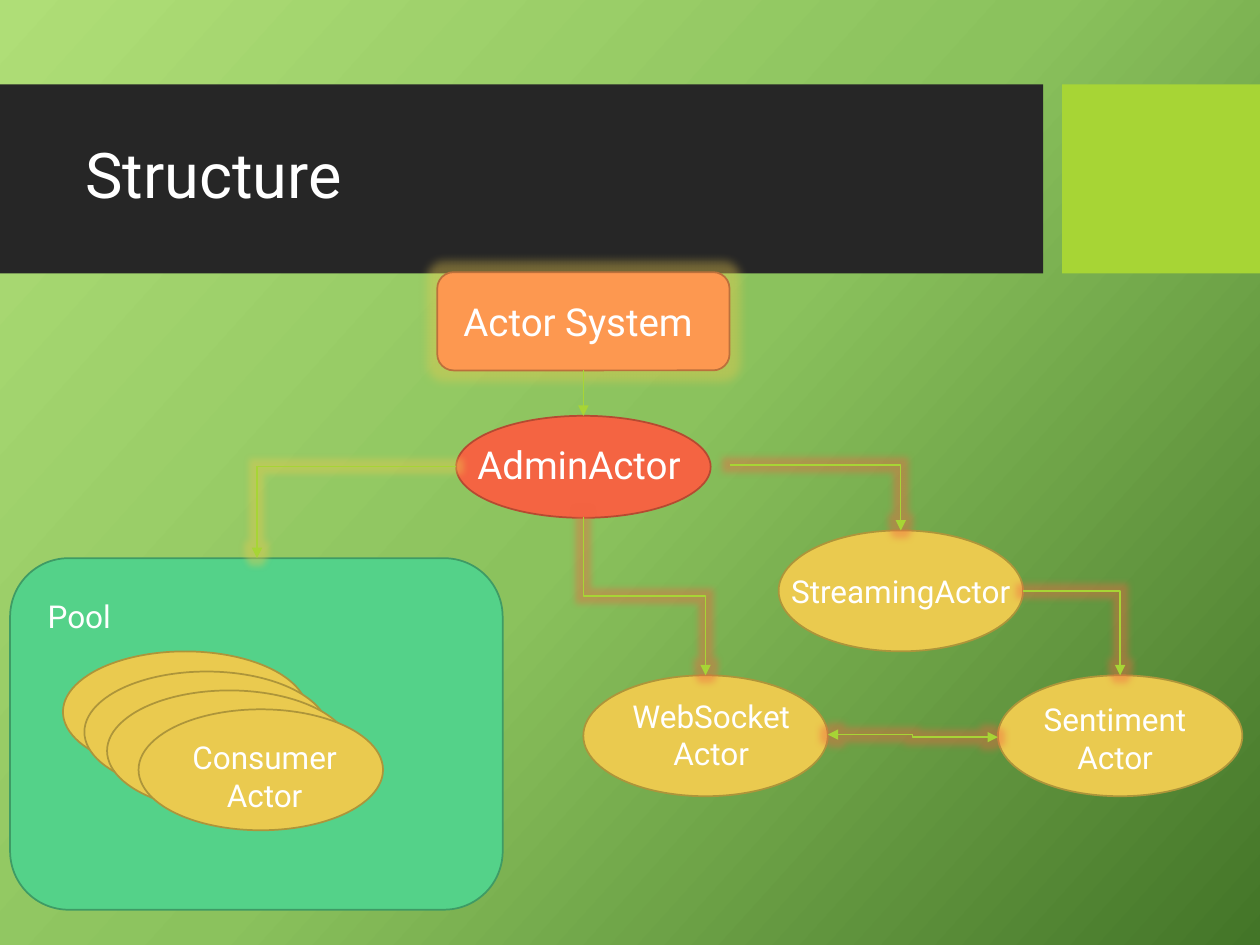
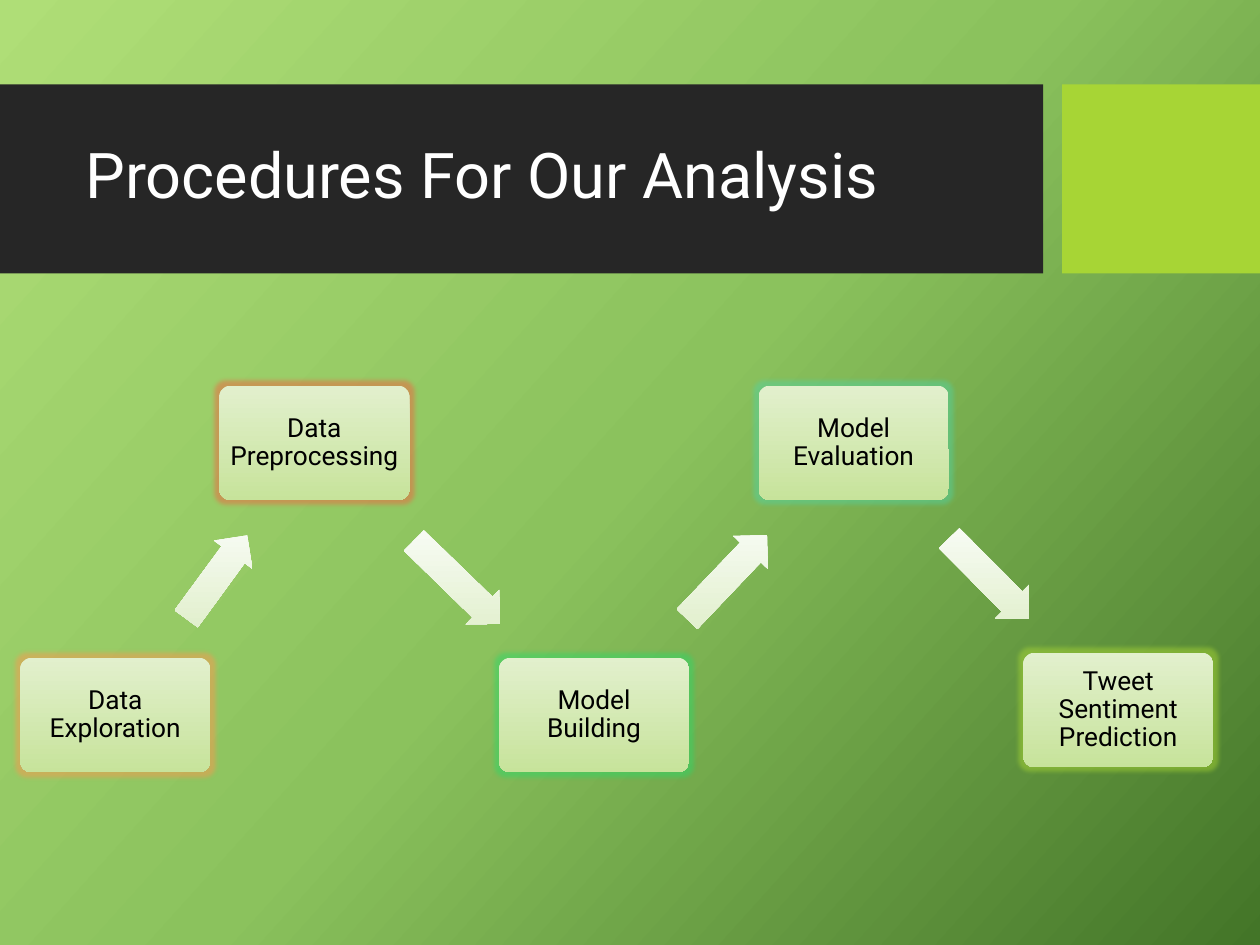
"""Builds two slides: the actor structure and the analysis procedure."""
from pptx import Presentation
from pptx.dml.color import RGBColor
from pptx.enum.shapes import MSO_CONNECTOR, MSO_SHAPE
from pptx.enum.text import MSO_ANCHOR, PP_ALIGN
from pptx.oxml import parse_xml
from pptx.oxml.ns import nsdecls, qn
from pptx.util import Inches, Pt

RECT, ROUND = MSO_SHAPE.RECTANGLE, MSO_SHAPE.ROUNDED_RECTANGLE
OVAL, ARROW = MSO_SHAPE.OVAL, MSO_SHAPE.RIGHT_ARROW
STRAIGHT, ELBOW = MSO_CONNECTOR.STRAIGHT, MSO_CONNECTOR.ELBOW
LEFT, CENTER = PP_ALIGN.LEFT, PP_ALIGN.CENTER
TOP, MIDDLE = MSO_ANCHOR.TOP, MSO_ANCHOR.MIDDLE

FONT = "Roboto"
WHITE, BLACK, DARK, LIME = "FFFFFF", "000000", "262626", "A7D535"
YELLOW, ORANGE, RED, GREEN = "EACA4F", "FD9850", "F46442", "54D289"
OUTLINES = {YELLOW: "AD953A", ORANGE: "BB703B", RED: "B54A31", GREEN: "3E9B65"}
BACKDROP = [(0, "AFDE77"), (50, "8BC25D"), (100, "437528")]
STEP_FILL = [(0, "E2F0CD"), (100, "C7E39B")]
ARROW_FILL = [(0, "F9FCF6"), (100, "E0EFCB")]
BANDS = [((0, 0.67, 8.28, 1.5), DARK), ((8.43, 0.67, 1.57, 1.5), LIME)]

ADMIN = (3.62, 3.3, 2.02, 0.81)
POOL = (0.08, 4.43, 3.91, 2.79)
SYSTEM = (3.47, 2.16, 2.32, 0.78)
ACTOR_SIZE = (1.94, 0.96)
ACTORS = [(6.18, 4.21), (7.92, 5.36), (4.63, 5.36),
          (0.5, 5.17), (0.67, 5.33), (0.85, 5.48), (1.1, 5.63)]
LABELS = [
    ("Actor System", (3.58, 2.32, 2.1, 0.47), 22, LEFT),
    ("AdminActor", (3.69, 3.45, 2.1, 0.47), 22, LEFT),
    ("StreamingActor", (6.18, 4.49, 2.01, 0.4), 18, LEFT),
    ("WebSocket\nActor", (4.82, 5.48, 1.65, 0.71), 18, CENTER),
    ("Sentiment\nActor", (8.05, 5.51, 1.6, 0.71), 18, CENTER),
    ("Pool", (0.28, 4.69, 1.03, 0.4), 18, LEFT),
    ("Consumer\nActor", (1.28, 5.81, 1.64, 0.71), 18, CENTER),
]
CORNER_LINKS = [
    ((5.79, 3.69), (7.15, 4.21), RED),
    ((8.12, 4.69), (8.89, 5.36), RED),
    ((3.62, 3.7), (2.04, 4.43), YELLOW),
]
ADMIN_TO_SOCKET = ((4.63, 4.1), (5.6, 5.36))
SOCKET_TO_SENTIMENT = ((6.57, 5.83), (7.92, 5.85))

STEP_SIZE = (1.51, 0.91)
STEPS = [
    ("Data Exploration", (0.16, 5.22), ORANGE),
    ("Data Preprocessing", (1.74, 3.06), RED),
    ("Model Building", (3.96, 5.22), "30D868"),
    ("Model Evaluation", (6.02, 3.06), "54D2A0"),
    ("Tweet Sentiment Prediction", (8.12, 5.18), LIME),
]
STEP_ARROWS = [(1.31, 4.39, 0.82, 306.2), (3.15, 4.43, 0.95, 44.2),
               (5.31, 4.39, 0.92, 313.6), (7.4, 4.4, 0.9, 45.2)]


def rgb(color):
    return RGBColor.from_string(color)


def inches(values):
    return [Inches(value) for value in values]


def set_gradient(fill, owner, stops, angle):
    fill.gradient()
    gradient = next(owner.iter(qn("a:gradFill")))
    gradient.clear()
    gradient.set("rotWithShape", "0")
    marks = "".join(f'<a:gs pos="{pos * 1000}"><a:srgbClr val="{color}"/></a:gs>'
                    for pos, color in stops)
    gradient.append(parse_xml(f'<a:gsLst {nsdecls("a")}>{marks}</a:gsLst>'))
    gradient.append(parse_xml(f'<a:lin {nsdecls("a")} ang="{angle * 60000}" scaled="0"/>'))


def add_glow(effects, color, points, alpha=40):
    effects.append(parse_xml(
        f'<a:glow {nsdecls("a")} rad="{Pt(points)}"><a:srgbClr val="{color}">'
        f'<a:alpha val="{alpha * 1000}"/></a:srgbClr></a:glow>'))


def add_shape(slide, kind, box, fill, glow=None):
    shape = slide.shapes.add_shape(kind, *inches(box))
    shape.shadow.inherit = False
    if isinstance(fill, str):
        shape.fill.solid()
        shape.fill.fore_color.rgb = rgb(fill)
    else:
        set_gradient(shape.fill, shape._element, fill, 90)
    if not isinstance(fill, str) or fill not in OUTLINES:
        shape.line.fill.background()
    else:
        shape.line.color.rgb = rgb(OUTLINES[fill])
        shape.line.width = Pt(1)
    if glow:
        add_glow(shape._element.spPr.find(qn("a:effectLst")), *glow)
    return shape


def write(frame, text, size, color, align=LEFT, anchor=TOP, spacing=None):
    frame.word_wrap = True
    frame.vertical_anchor = anchor
    frame.text = text
    for paragraph in frame.paragraphs:
        paragraph.alignment = align
        paragraph.line_spacing = spacing
        for run in paragraph.runs:
            run.font.size = Pt(size)
            run.font.name = FONT
            run.font.color.rgb = rgb(color)


def add_link(slide, kind, start, end, glow=None, both_ends=False):
    link = slide.shapes.add_connector(kind, *inches(start + end))
    link.line.color.rgb = rgb(LIME)
    link.line.width = Pt(0.75)
    line = link._element.spPr.find(qn("a:ln"))
    for tag in ["headEnd", "tailEnd"] if both_ends else ["tailEnd"]:
        line.append(parse_xml(f'<a:{tag} {nsdecls("a")} type="triangle"/>'))
    effects = parse_xml(f'<a:effectLst {nsdecls("a")}/>')
    link._element.spPr.append(effects)
    if glow:
        add_glow(effects, glow, 8)
    return link


def add_corner_link(slide, start, end, glow):
    link = add_link(slide, ELBOW, start, end, glow)
    link._element.spPr.find(qn("a:prstGeom")).set("prst", "bentConnector2")


def add_drop_link(slide, start, end, glow):
    (x1, y1), (x2, y2) = start, end
    mid_x, mid_y = (x1 + x2) / 2, (y1 + y2) / 2
    half_run, half_drop = (x2 - x1) / 2, (y2 - y1) / 2
    link = add_link(slide, ELBOW, (mid_x + half_drop, mid_y - half_run),
                    (mid_x - half_drop, mid_y + half_run), glow)
    link._element.spPr.find(qn("a:xfrm")).set("rot", str(270 * 60000))


def add_slide(deck, title):
    slide = deck.slides.add_slide(deck.slide_layouts[6])
    set_gradient(slide.background.fill, slide._element, BACKDROP, 42)
    for box, color in BANDS:
        add_shape(slide, RECT, box, color)
    heading = slide.shapes.add_textbox(*inches((0.58, 0.82, 7.54, 1.18)))
    write(heading.text_frame, title, 36, WHITE, anchor=MIDDLE, spacing=0.9)
    return slide


def build_structure(deck):
    slide = add_slide(deck, "Structure")
    admin = add_shape(slide, OVAL, ADMIN, RED)
    add_shape(slide, ROUND, POOL, GREEN)
    system = add_shape(slide, ROUND, SYSTEM, ORANGE, (YELLOW, 11))
    for place in ACTORS:
        add_shape(slide, OVAL, place + ACTOR_SIZE, YELLOW)
    for text, box, size, align in LABELS:
        label = slide.shapes.add_textbox(*inches(box))
        write(label.text_frame, text, size, WHITE, align)
    launch = add_link(slide, STRAIGHT, (4.63, 2.94), (4.63, 3.3))
    launch.begin_connect(system, 2)
    launch.end_connect(admin, 0)
    add_drop_link(slide, *ADMIN_TO_SOCKET, RED)
    for start, end, glow in CORNER_LINKS:
        add_corner_link(slide, start, end, glow)
    add_link(slide, ELBOW, *SOCKET_TO_SENTIMENT, RED, both_ends=True)


def build_procedures(deck):
    slide = add_slide(deck, "Procedures For Our Analysis")
    for text, place, glow in STEPS:
        step = add_shape(slide, ROUND, place + STEP_SIZE, STEP_FILL, (glow, 5, 50))
        step.adjustments[0] = 0.1
        frame = step.text_frame
        frame.margin_left = frame.margin_right = Inches(0.06)
        frame.margin_top = frame.margin_bottom = Inches(0.06)
        write(frame, text, 15, BLACK, CENTER, MIDDLE, 0.9)
    for left, top, width, angle in STEP_ARROWS:
        arrow = add_shape(slide, ARROW, (left, top, width, 0.38), ARROW_FILL)
        arrow.adjustments[0] = 0.6
        arrow.rotation = angle


def main():
    deck = Presentation()
    deck.slide_width, deck.slide_height = Inches(10), Inches(7.5)
    build_structure(deck)
    build_procedures(deck)
    deck.save("out.pptx")


if __name__ == "__main__":
    main()
